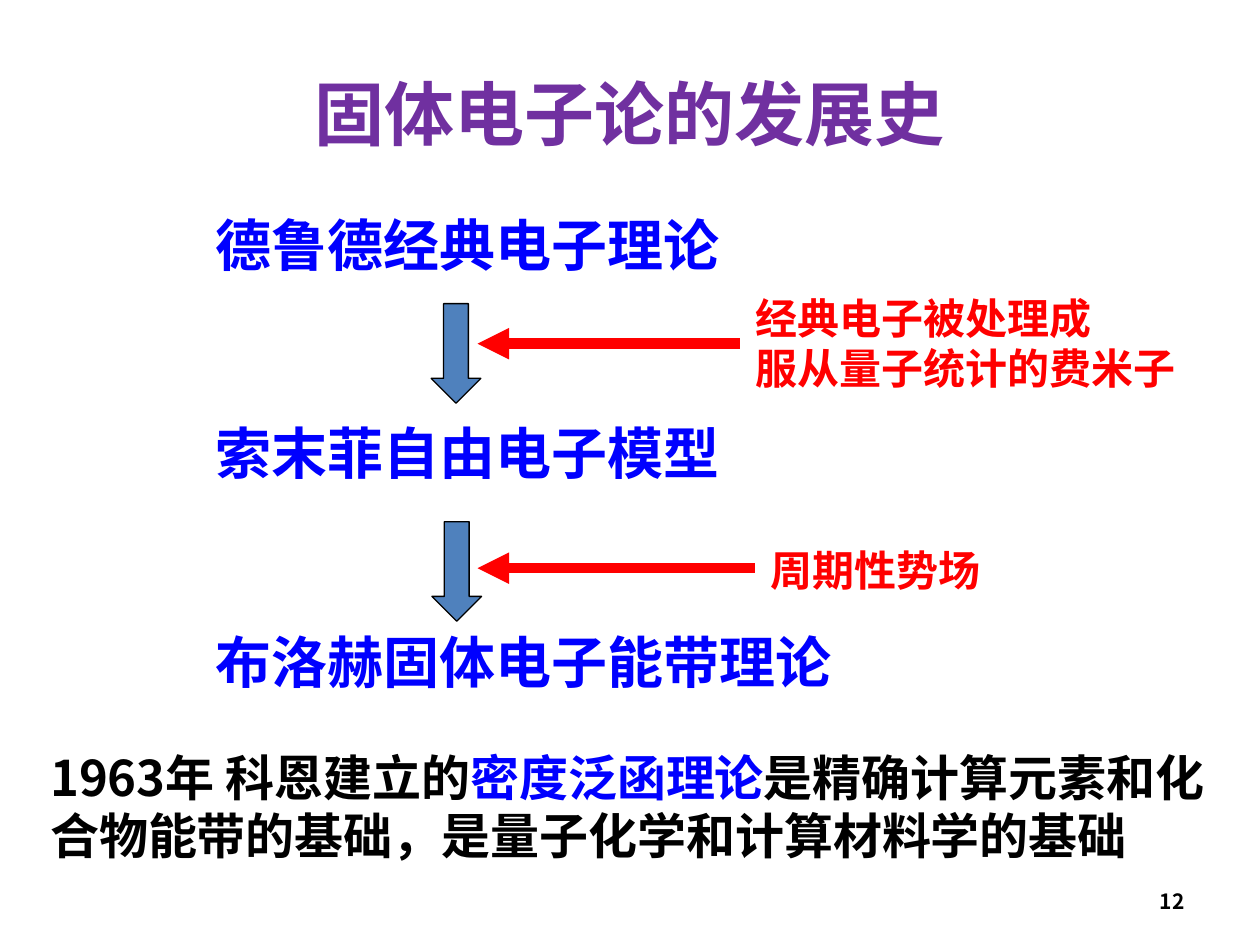
from pptx import Presentation
from pptx.util import Pt
from pptx.dml.color import RGBColor
from pptx.enum.shapes import MSO_CONNECTOR, MSO_SHAPE
from pptx.enum.text import MSO_ANCHOR, MSO_AUTO_SIZE, PP_ALIGN
from pptx.oxml.ns import qn
from lxml.etree import SubElement

FONT = "Noto Sans CJK SC"
PURPLE, BLUE, RED, BLACK, STEEL = "7030A0", "0000FF", "FF0000", "000000", "4F81BD"

# Content: each text is a list of paragraphs, each a list of (text, colour) runs
TITLE = [[("固体电子论的发展史", PURPLE)]]
THEORIES = [  # text, box width
    ("德鲁德经典电子理论", 317.5),
    ("索末菲自由电子模型", 306),
    ("布洛赫固体电子能带理论", 380),
]
STEPS = [  # down arrow left and top, note lines, note box, wrap, pointer start and height
    ((246.4, 173.5), ["经典电子被处理成", "服从量子统计的费米子"],
     (424.8, 163.4, 266.4, 65.5), True, (422.6, 196.4)),
    ((246.8, 298.1), ["周期性势场"],
     (433.4, 307.4, 136.1, 36.7), False, (431.3, 324.7)),
]
SUMMARY = [[("1963年 科恩建立的", BLACK), ("密度泛函理论", BLUE),
            ("是精确计算元素和化合物能带的基础，是量子化学和计算材料学的基础", BLACK)]]
PAGE_NUMBER = [[("12", BLACK)]]

THEORY_LEFT, THEORY_TOP, THEORY_PITCH = 115.9, 116.6, 119.2
POINTER_END = 272.9

presentation = Presentation()
presentation.slide_width, presentation.slide_height = Pt(720), Pt(540)
slide = presentation.slides.add_slide(presentation.slide_layouts[6])


def color(value):
    return RGBColor.from_string(value)


def add_text(paragraphs, box, size, wrap=True, align=PP_ALIGN.LEFT,
             anchor=MSO_ANCHOR.TOP, grow=True):
    frame = slide.shapes.add_textbox(*map(Pt, box)).text_frame
    frame.word_wrap = wrap
    frame.vertical_anchor = anchor
    frame.auto_size = MSO_AUTO_SIZE.SHAPE_TO_FIT_TEXT if grow else MSO_AUTO_SIZE.NONE
    for index, runs in enumerate(paragraphs):
        paragraph = frame.add_paragraph() if index else frame.paragraphs[0]
        paragraph.alignment = align
        paragraph.line_spacing = Pt(round(size * 1.2, 1))
        for text, ink in runs:
            run = paragraph.add_run()
            run.text = text
            run.font.name, run.font.size, run.font.bold = FONT, Pt(size), True
            run.font.color.rgb = color(ink)
            # East Asian typeface
            SubElement(run.font._element, qn("a:ea")).set("typeface", FONT)


def add_down_arrow(left, top):
    shape = slide.shapes.add_shape(MSO_SHAPE.DOWN_ARROW, Pt(left), Pt(top), Pt(28.4), Pt(56.9))
    shape.shadow.inherit = False
    shape.fill.solid()
    shape.fill.fore_color.rgb = color(STEEL)
    shape.line.color.rgb = color(BLACK)
    shape.line.width = Pt(0.75)


def add_pointer(start, height):
    connector = slide.shapes.add_connector(
        MSO_CONNECTOR.STRAIGHT, Pt(start), Pt(height), Pt(POINTER_END), Pt(height))
    connector.line.color.rgb = color(RED)
    connector.line.width = Pt(6)
    SubElement(connector.line._get_or_add_ln(), qn("a:tailEnd")).set("type", "triangle")
    SubElement(connector._element.spPr, qn("a:effectLst"))


# Title
add_text(TITLE, (172.8, 36.7, 379.4, 55.4), 40, wrap=False)

# Theories down the page
for index, (theory, width) in enumerate(THEORIES):
    top = THEORY_TOP + index * THEORY_PITCH
    add_text([[(theory, BLUE)]], (THEORY_LEFT, top, width, 45.4), 32)

# Summary
add_text(SUMMARY, (21.6, 423.4, 677.5, 74.9), 28)

# Steps between theories, each with its note
for arrow, lines, note_box, wrap, pointer in STEPS:
    add_down_arrow(*arrow)
    add_text([[(line, RED)] for line in lines], note_box, 24, wrap=wrap)
    add_pointer(*pointer)

# Page number
add_text(PAGE_NUMBER, (516.2, 500.4, 167.8, 28.8), 12,
         align=PP_ALIGN.RIGHT, anchor=MSO_ANCHOR.MIDDLE, grow=False)

presentation.save("out.pptx")
